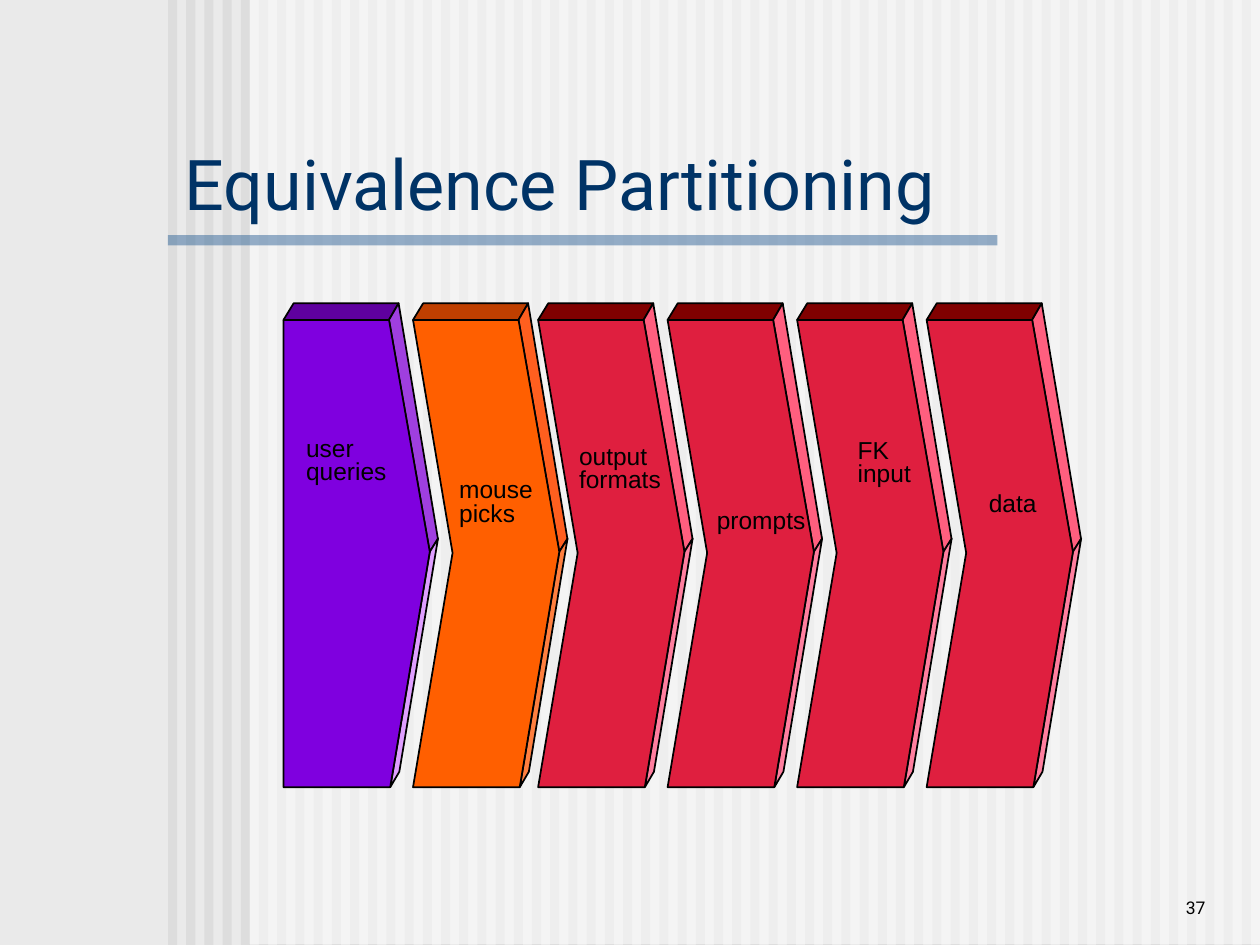
"""Build the Equivalence Partitioning slide."""
import pptx
import pptx.dml.color
import pptx.enum.shapes
import pptx.enum.text
import pptx.oxml.ns
import pptx.util
from lxml import etree

Pt = pptx.util.Pt
ALIGN = pptx.enum.text.PP_ALIGN
ANCHOR = pptx.enum.text.MSO_ANCHOR
AUTO_SIZE = pptx.enum.text.MSO_AUTO_SIZE

COLORS = {
    "background": "EAEAEA", "stripe": "DDDDDD", "veil": "FFFFFF",
    "rule": "336699", "title": "003366", "ink": "000000",
}
PALETTES = {
    "purple": {"top": "5F009F", "upper": "9F3FDF", "lower": "DF9FFF", "front": "7F00DF"},
    "orange": {"top": "BF3F00", "upper": "FF5F1F", "lower": "FF7F3F", "front": "FF5F00"},
    "red": {"top": "800000", "upper": "FF5F7F", "lower": "FF7F9F", "front": "DF1F3F"},
}
NOTCH = (22.6, 316)
FACES = {
    "top": [(60.3, 182.8), (0, 182.8), (5.8, 173.3), (65.8, 173.3)],
    "upper": [(65.8, 173.3), (60.3, 182.8), (83.6, 315.3), (88.3, 308)],
    "lower": [(88.3, 307.7), (83.6, 315.3), (61, 449.8), (66.2, 441)],
    "front": [(60.3, 182.8), (0, 182.8), NOTCH, (0, 449.8), (61, 449.8), (83.6, 315.3)],
}
BLOCKS = [
    (162, "purple", False), (236, "orange", True), (307.5, "red", True),
    (381.5, "red", True), (455.5, "red", True), (529.5, "red", True),
]
LABELS = [
    (("user", "queries"), 167.8, 247, 60.6, 33.8),
    (("mouse", "picks"), 255.3, 270.7, 57, 33.8),
    (("output", "formats"), 323.8, 251.6, 61.4, 33.8),
    (("prompts",), 402.5, 288.4, 65.8, 20.9),
    (("FK", "input"), 483, 248.2, 45.6, 33.8),
    (("data",), 558, 278.6, 42, 20.9),
]


def rgb(value):
    """Turn a hex string into a colour."""
    return pptx.dml.color.RGBColor.from_string(value)


def paint(sp, color, alpha=None, outline=None):
    """Give a shape a solid fill and an optional outline."""
    sp.shadow.inherit = False
    sp.fill.solid()
    sp.fill.fore_color.rgb = rgb(color)
    if alpha is not None:
        qn = pptx.oxml.ns.qn
        clr = sp.element.spPr.find(qn("a:solidFill"))[0]
        etree.SubElement(clr, qn("a:alpha")).set("val", str(alpha * 1000))
    if outline:
        sp.line.color.rgb = rgb(outline)
        sp.line.width = Pt(1)
    else:
        sp.line.fill.background()


def add_bar(shapes, x, y, w, h, color, alpha=None):
    """Add a plain rectangle without an outline."""
    kind = pptx.enum.shapes.MSO_SHAPE.RECTANGLE
    sp = shapes.add_shape(kind, Pt(x), Pt(y), Pt(w), Pt(h))
    paint(sp, color, alpha)


def add_backdrop(s):
    """Draw the stripes, the pale panel over them and the title rule."""
    s.background.fill.solid()
    s.background.fill.fore_color.rgb = rgb(COLORS["background"])
    shapes = s.shapes.add_group_shape().shapes
    for i in range(60):
        add_bar(shapes, 96 + i * 10.4, 0, 5.2, 540, COLORS["stripe"])
    add_bar(shapes, 142.6, 0, 577.4, 539.5, COLORS["veil"], 50)
    add_bar(shapes, 96, 134.4, 474, 5.8, COLORS["rule"], 50)


def add_block(s, x, palette, notched):
    """Draw one solid arrow block, grouped from its four faces."""
    shapes = s.shapes.add_group_shape().shapes
    for face, corners in FACES.items():
        points = [(Pt(x + dx), Pt(y)) for dx, y in corners
                  if notched or (dx, y) != NOTCH]
        builder = shapes.build_freeform(*points[0])
        builder.add_line_segments(points[1:], close=True)
        paint(builder.convert_to_shape(), palette[face], outline=COLORS["ink"])


def add_text(s, lines, x, y, w, h, size, font="Roboto", color="ink",
             align=ALIGN.LEFT, anchor=ANCHOR.BOTTOM, wrap=True, spacing=None):
    """Add a text box with one paragraph per line, growing if unwrapped."""
    tf = s.shapes.add_textbox(Pt(x), Pt(y), Pt(w), Pt(h)).text_frame
    tf.word_wrap = wrap
    tf.auto_size = AUTO_SIZE.NONE if wrap else AUTO_SIZE.SHAPE_TO_FIT_TEXT
    tf.vertical_anchor = anchor
    for i, line in enumerate(lines):
        p = tf.add_paragraph() if i else tf.paragraphs[0]
        p.alignment = align
        p.line_spacing = spacing
        r = p.add_run()
        r.text = line
        r.font.size = Pt(size)
        r.font.name = font
        r.font.color.rgb = rgb(COLORS[color])


def main():
    """Build and save the slide."""
    prs = pptx.Presentation()
    prs.slide_width, prs.slide_height = Pt(720), Pt(540)
    s = prs.slides.add_slide(prs.slide_layouts[6])
    add_backdrop(s)
    add_text(s, ["37"], 594, 492, 102, 36, 10, align=ALIGN.RIGHT)
    add_text(s, ["Equivalence Partitioning"], 98.6, 86.4, 597.6, 45.4, 40, color="title")
    for x, name, notched in BLOCKS:
        add_block(s, x, PALETTES[name], notched)
    for lines, x, y, w, h in LABELS:
        add_text(s, lines, x, y, w, h, 14, font="Arial", anchor=ANCHOR.TOP,
                 wrap=False, spacing=0.8)
    prs.save("out.pptx")


if __name__ == "__main__":
    main()
